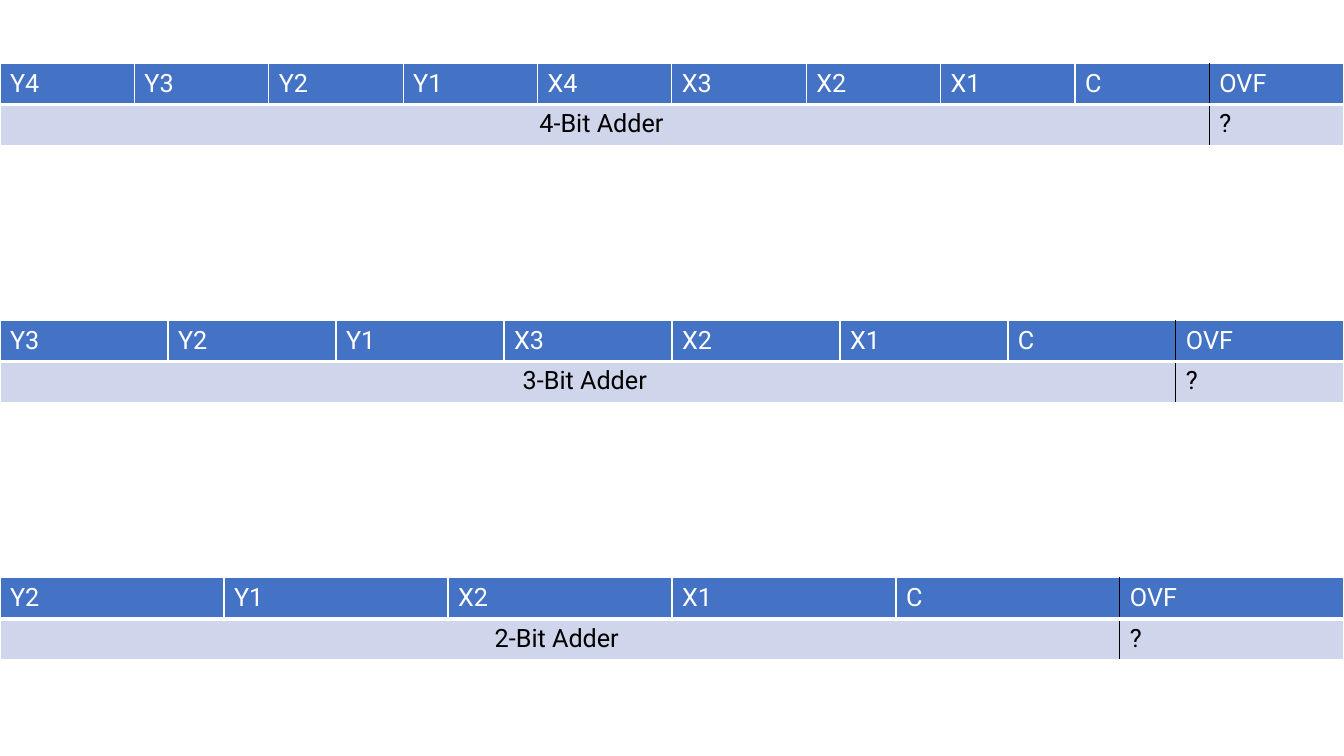
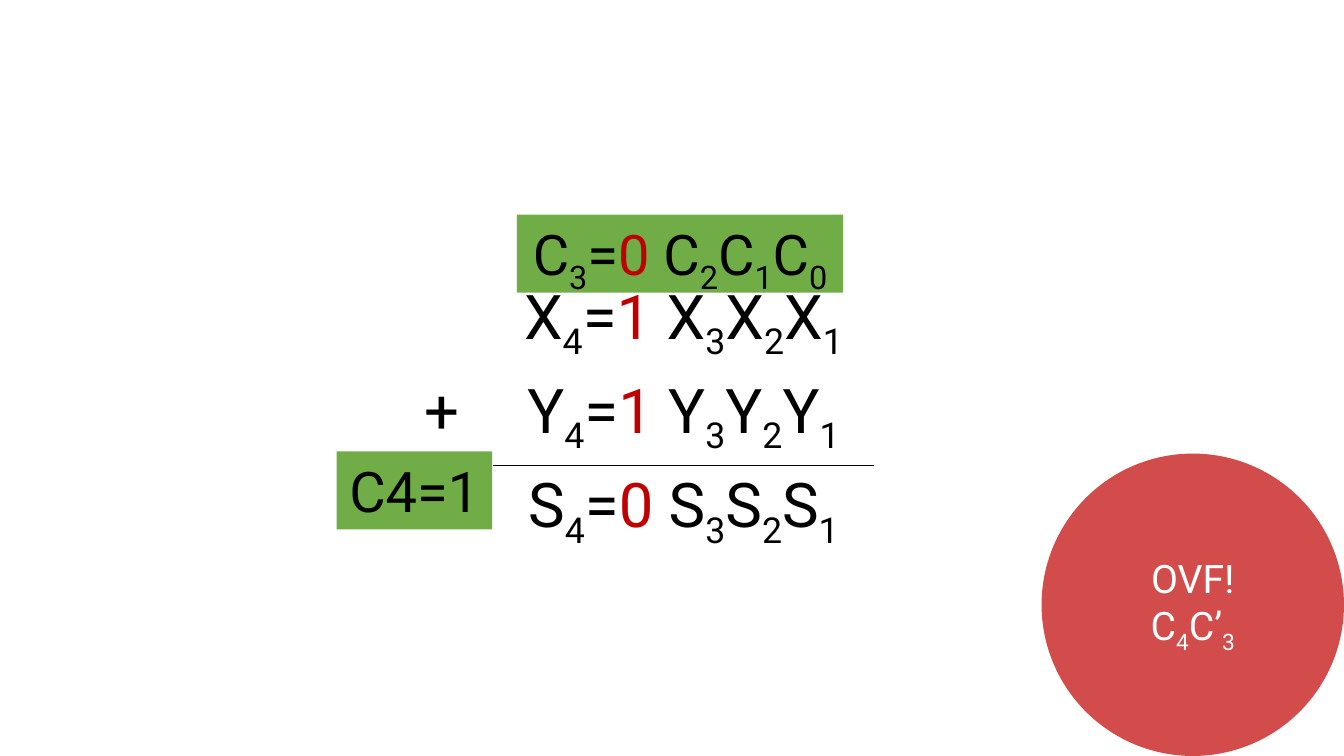
from itertools import groupby

from lxml import etree
from pptx import Presentation
from pptx.dml.color import RGBColor
from pptx.enum.shapes import MSO_SHAPE
from pptx.enum.text import MSO_ANCHOR, MSO_AUTO_SIZE, PP_ALIGN
from pptx.oxml.ns import qn
from pptx.util import Pt

LEFT, CENTER = PP_ALIGN.LEFT, PP_ALIGN.CENTER
MIDDLE = MSO_ANCHOR.MIDDLE
GROW = MSO_AUTO_SIZE.SHAPE_TO_FIT_TEXT
OVAL = MSO_SHAPE.OVAL

COLORS = {
    "white": "FFFFFF",
    "black": "000000",
    "header": "4472C4",
    "band": "CFD5EA",
    "carry": "70AD47",
    "bit": "C00000",
}
WIDTH, HEIGHT = 960, 540
SUBSCRIPT, RED = "_", "^"
SIDES = ("L", "R", "T", "B")


def marked_runs(text):
    """Split text into (mark, run) pairs; a mark styles the character after it."""
    pairs, mark = [], ""
    for char in text:
        if char in (SUBSCRIPT, RED):
            mark = char
        else:
            pairs.append((mark, char))
            mark = ""
    for mark, group in groupby(pairs, key=lambda pair: pair[0]):
        yield mark, "".join(char for _, char in group)


class Deck:
    """Shared style and the slide being built."""

    def __init__(self):
        self.prs = Presentation()
        self.prs.slide_width, self.prs.slide_height = Pt(WIDTH), Pt(HEIGHT)
        self.slide = None

    def new_slide(self):
        self.slide = self.prs.slides.add_slide(self.prs.slide_layouts[6])

    def color(self, name):
        return RGBColor.from_string(COLORS[name])

    def paint(self, fill, name):
        if name is None:
            fill.background()
        else:
            fill.solid()
            fill.fore_color.rgb = self.color(name)

    def set_text(self, frame, lines, size, color="black", align=CENTER, **layout):
        for key, value in layout.items():
            setattr(frame, key, value)
        style = {"name": "Roboto", "size": Pt(size), "bold": False}
        for index, line in enumerate(lines):
            paragraph = frame.paragraphs[0] if index == 0 else frame.add_paragraph()
            paragraph.alignment = align
            for mark, text in marked_runs(line):
                run = paragraph.add_run()
                run.text = text
                for key, value in style.items():
                    setattr(run.font, key, value)
                run.font.color.rgb = self.color("bit" if mark == RED else color)
                if mark == SUBSCRIPT:
                    run.font._element.set("baseline", "-25000")

    def label(self, text, at, fill):
        box = self.slide.shapes.add_textbox(*map(Pt, at))
        self.paint(box.fill, fill)
        self.set_text(box.text_frame, [text], 40, word_wrap=False, auto_size=GROW)

    def badge(self, lines, at, fill, opacity):
        circle = self.slide.shapes.add_shape(OVAL, *map(Pt, at))
        circle.shadow.inherit = False
        circle.line.fill.background()
        self.paint(circle.fill, fill)
        tint = circle._element.spPr.find(qn("a:solidFill"))[0]
        etree.SubElement(tint, qn("a:alpha"), val=str(opacity * 1000))
        self.set_text(circle.text_frame, lines, 28, "white", vertical_anchor=MIDDLE)

    def grid(self, left, top, widths, heights):
        frame = self.slide.shapes.add_table(
            len(heights), len(widths), Pt(left), Pt(top), Pt(sum(widths)), Pt(sum(heights))
        )
        table = frame.table
        for column, width in zip(table.columns, widths):
            column.width = Pt(width)
        for row, height in zip(table.rows, heights):
            row.height = Pt(height)
        return table

    def cell(self, cell, fill, borders):
        properties = cell._tc.get_or_add_tcPr()
        for side in SIDES:
            color, width = borders.get(side, (None, 0))
            line = etree.SubElement(properties, qn(f"a:ln{side}"), w=str(int(Pt(width))))
            if color:
                solid = etree.SubElement(line, qn("a:solidFill"))
                etree.SubElement(solid, qn("a:srgbClr"), val=COLORS[color])
            else:
                etree.SubElement(line, qn("a:noFill"))
        self.paint(cell.fill, fill)

    def adder_table(self, bits, top):
        places = range(bits, 0, -1)
        heads = [f"{name}{place}" for name in "YX" for place in places] + ["C", "OVF"]
        last = len(heads) - 1
        table = self.grid(0, top, [WIDTH / len(heads)] * len(heads), [29.2, 29.2])
        for col, head in enumerate(heads):
            for row, fill in enumerate(("header", "band")):
                borders = dict.fromkeys(SIDES, ("white", 1))
                if row == 0:
                    borders["B"] = ("white", 3)
                if col == last:
                    borders["L"] = ("black", 1)
                elif row == 1 or col == last - 1:
                    borders["R"] = ("black", 1)
                self.cell(table.cell(row, col), fill, borders)
            self.set_text(table.cell(0, col).text_frame, [head], 18, "white", LEFT)
        table.cell(1, 0).merge(table.cell(1, last - 1))
        self.set_text(table.cell(1, 0).text_frame, [f"{bits}-Bit Adder "], 18)
        self.set_text(table.cell(1, last).text_frame, ["?"], 18, align=LEFT)

    def sum_table(self, rows, left, top):
        table = self.grid(left, top, [74, 271.5, 56], [67.3] * len(rows))
        rule = {(1, 1): {"B": ("black", 1)}, (2, 1): {"T": ("black", 1)}}
        for row, texts in enumerate(rows):
            for col, text in enumerate(texts):
                cell = table.cell(row, col)
                self.cell(cell, None, rule.get((row, col), {}))
                if text:
                    self.set_text(cell.text_frame, [text], 44)


def main():
    deck = Deck()

    deck.new_slide()
    for index, bits in enumerate((4, 3, 2)):
        deck.adder_table(bits, 45.5 + 183.6 * index)

    deck.new_slide()
    deck.label("C4=1", (240.5, 322.5, 111, 55.7), "carry")
    deck.label("C_3=^0 C_2C_1C_0", (369.3, 153.3, 233, 55.7), "carry")
    operands = [("", "X", 1), ("+", "Y", 1), ("", "S", 0)]
    rows = [
        (sign, f"{name}_4=^{bit} {name}_3{name}_2{name}_1", "")
        for sign, name, bit in operands
    ]
    deck.sum_table(rows, 278.5, 198)
    deck.badge(["OVF!", "C_4C’_3"], (744, 324, 216, 216), "bit", 70)

    deck.prs.save("out.pptx")


if __name__ == "__main__":
    main()
